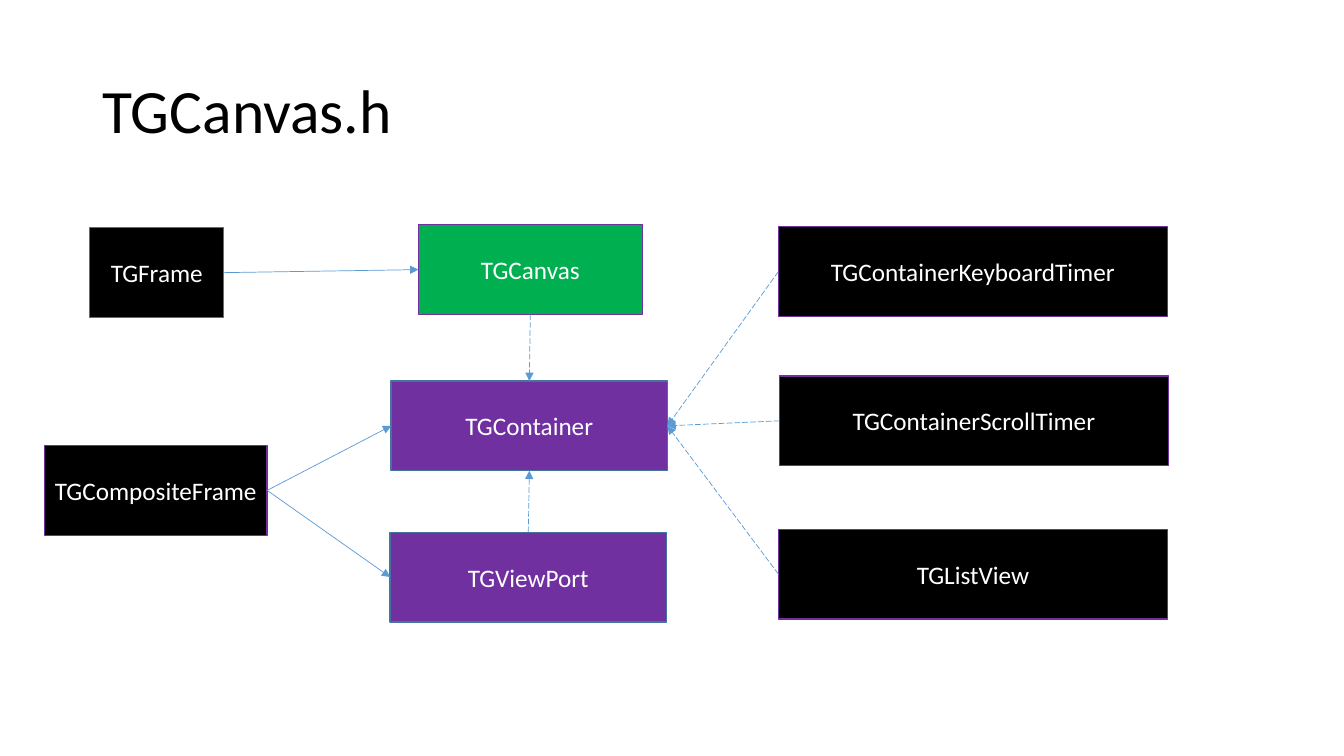
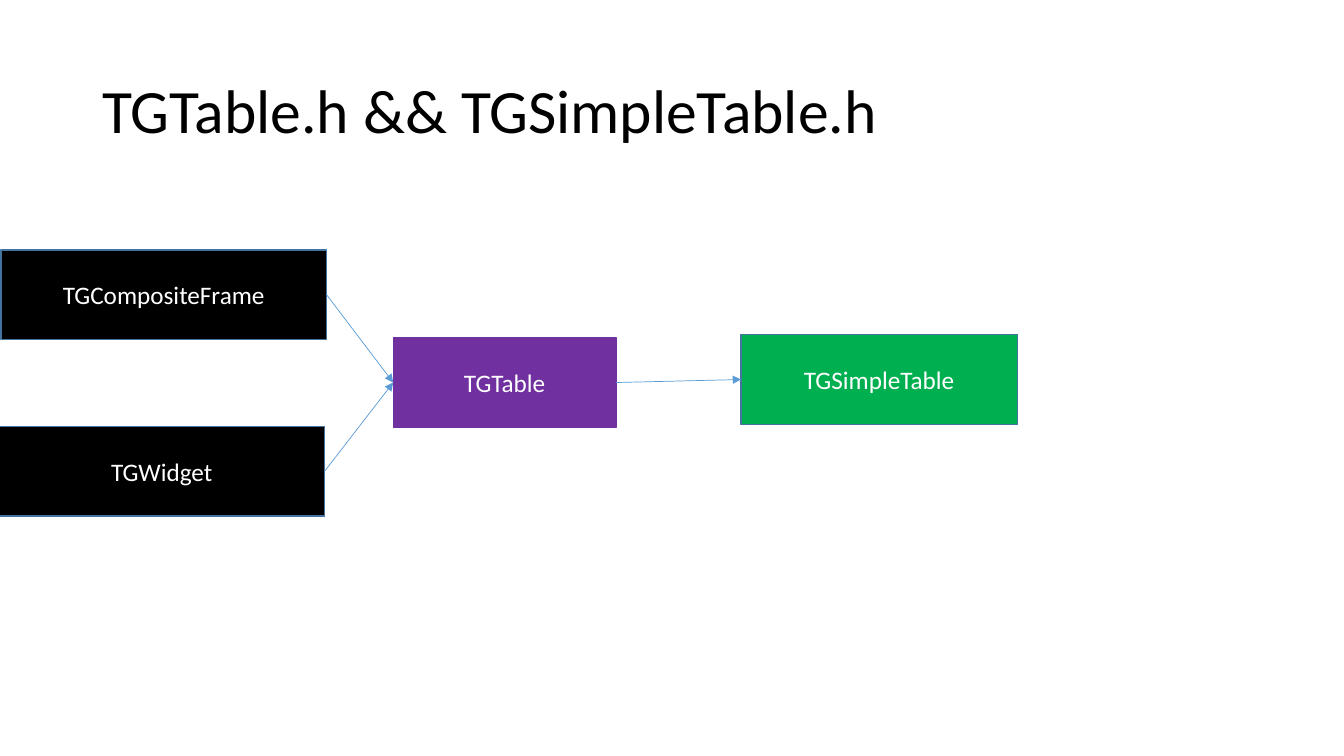
from lxml import etree
from pptx import Presentation
from pptx.dml.color import RGBColor
from pptx.enum.dml import MSO_LINE
from pptx.enum.shapes import MSO_CONNECTOR, MSO_SHAPE
from pptx.enum.text import MSO_ANCHOR, PP_ALIGN
from pptx.oxml.ns import qn
from pptx.util import Pt

PX = 9144  # EMU; 100 px to the inch
RECTANGLE = MSO_SHAPE.RECTANGLE
STRAIGHT = MSO_CONNECTOR.STRAIGHT
LONG_DASH = MSO_LINE.LONG_DASH
MIDDLE = MSO_ANCHOR.MIDDLE
LEFT_ALIGN, CENTER = PP_ALIGN.LEFT, PP_ALIGN.CENTER
TOP, LEFT, BOTTOM, RIGHT = range(4)

COLORS = {
    "black": "000000",
    "white": "FFFFFF",
    "purple": "7030A0",
    "green": "00B050",
    "steel": "43739E",
    "blue": "5B9BD5",
}
FONT = "Calibri"
TITLE_AREA = (92, 40, 1150, 145)
CLASS_HEIGHT = 89

# Classes: name, left, top, width, fill, outline
# Arrows: source, its side, target, its side, dashed
DIAGRAMS = [
    {
        "title": "TGCanvas.h",
        "classes": [
            ("TGCompositeFrame", 44, 442, 221, "black", "purple"),
            ("TGContainer", 388, 378, 274, "purple", "steel"),
            ("TGViewPort", 387, 528, 274, "purple", "steel"),
            ("TGFrame", 89, 226, 133, "black", "steel"),
            ("TGCanvas", 415, 223, 222, "green", "purple"),
            ("TGContainerKeyboardTimer", 772, 225, 386, "black", "purple"),
            ("TGContainerScrollTimer", 773, 373, 386, "black", "purple"),
            ("TGListView", 772, 525, 386, "black", "purple"),
        ],
        "arrows": [
            ("TGCompositeFrame", RIGHT, "TGContainer", LEFT, False),
            ("TGCompositeFrame", RIGHT, "TGViewPort", LEFT, False),
            ("TGFrame", RIGHT, "TGCanvas", LEFT, False),
            ("TGViewPort", TOP, "TGContainer", BOTTOM, True),
            ("TGCanvas", BOTTOM, "TGContainer", TOP, True),
            ("TGContainerKeyboardTimer", LEFT, "TGContainer", RIGHT, True),
            ("TGContainerScrollTimer", LEFT, "TGContainer", RIGHT, True),
            ("TGListView", LEFT, "TGContainer", RIGHT, True),
        ],
    },
    {
        "title": "TGTable.h && TGSimpleTable.h",
        "classes": [
            ("TGTable", 390, 335, 221, "purple", "purple"),
            ("TGWidget", -1, 423, 323, "black", "steel"),
            ("TGCompositeFrame", 1, 248, 323, "black", "steel"),
            ("TGSimpleTable", 735, 332, 274, "green", "steel"),
        ],
        "arrows": [
            ("TGCompositeFrame", RIGHT, "TGTable", LEFT, False),
            ("TGWidget", RIGHT, "TGTable", LEFT, False),
            ("TGTable", RIGHT, "TGSimpleTable", LEFT, False),
        ],
    },
]


def rgb(color):
    return RGBColor.from_string(COLORS[color])


def write(shape, text, size, color, align):
    """Put one vertically centred line of text in a shape."""
    frame = shape.text_frame
    frame.vertical_anchor = MIDDLE
    paragraph = frame.paragraphs[0]
    paragraph.alignment = align
    run = paragraph.add_run()
    run.text = text
    for attribute, value in {"name": FONT, "size": Pt(size)}.items():
        setattr(run.font, attribute, value)
    run.font.color.rgb = rgb(color)


deck = Presentation()
deck.slide_width, deck.slide_height = 1333 * PX, 750 * PX
blank = deck.slide_layouts[6]

for diagram in DIAGRAMS:
    shapes = deck.slides.add_slide(blank).shapes

    title = shapes.add_textbox(*(length * PX for length in TITLE_AREA))
    title.text_frame.word_wrap = True
    write(title, diagram["title"], 44, "black", LEFT_ALIGN)
    title.text_frame.paragraphs[0].line_spacing = 0.9

    classes = {}
    for name, left, top, width, fill, outline in diagram["classes"]:
        box = shapes.add_shape(
            RECTANGLE, left * PX, top * PX, width * PX, CLASS_HEIGHT * PX)
        box.shadow.inherit = False
        box.fill.solid()
        box.fill.fore_color.rgb = rgb(fill)
        box.line.color.rgb = rgb(outline)
        box.line.width = Pt(1)
        box.text_frame.word_wrap = False
        write(box, name, 18, "white", CENTER)
        classes[name] = box

    for source, source_side, target, target_side, dashed in diagram["arrows"]:
        arrow = shapes.add_connector(STRAIGHT, 0, 0, 0, 0)
        arrow.begin_connect(classes[source], source_side)
        arrow.end_connect(classes[target], target_side)
        arrow.line.color.rgb = rgb("blue")
        arrow.line.width = Pt(0.5)
        if dashed:
            arrow.line.dash_style = LONG_DASH
        properties = arrow.element.spPr
        etree.SubElement(properties.find(qn("a:ln")), qn("a:tailEnd"), type="triangle")
        etree.SubElement(properties, qn("a:effectLst"))

deck.save("out.pptx")
